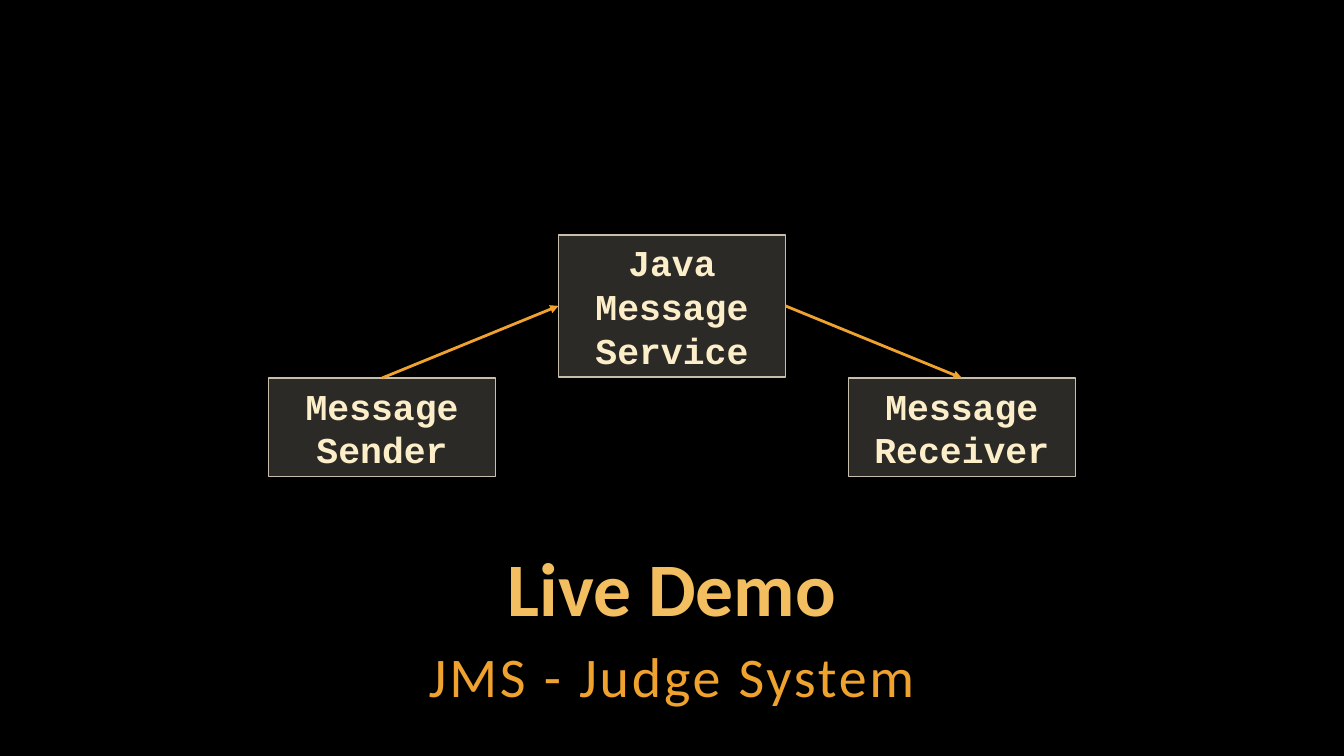
import pptx
import pptx.util
import pptx.dml.color
import pptx.enum.shapes
import pptx.enum.text
import pptx.oxml
from lxml import etree
from pptx.oxml.ns import qn

SLIDE_W, SLIDE_H = 13.33, 7.5
BOX_W, COLUMN_STEP = 2.25, 2.875
SERVICE_TOP, SERVICE_H = 2.33, 1.41
CLIENT_TOP, CLIENT_H = 3.75, 0.98
TOP, LEFT, RIGHT = 0, 1, 3
ORANGE = "F0A22E"


def inches(*values):
    return [pptx.util.Inches(v) for v in values]


def rgb(value):
    return pptx.dml.color.RGBColor.from_string(value)


def write(sp, text, *, font, size, color, bold=False, spacing=None,
          line_spacing=None, space_after=None):
    """Put one centred paragraph into a shape."""
    tf = sp.text_frame
    tf.word_wrap = True
    p = tf.paragraphs[0]
    p.alignment = pptx.enum.text.PP_ALIGN.CENTER
    p.line_spacing = line_spacing
    if space_after is not None:
        p.space_after = pptx.util.Pt(space_after)
    r = p.add_run()
    r.text = text
    r.font.name = font
    r.font.size = pptx.util.Pt(size)
    r.font.bold = bold
    r.font.color.rgb = rgb(color)
    if spacing is not None:
        r.font._element.set("spc", str(spacing * 100))


def add_heading(s, text, top, height, anchor, **text_format):
    sp = s.shapes.add_textbox(*inches(1, top, SLIDE_W - 2, height))
    tf = sp.text_frame
    tf.vertical_anchor = anchor
    tf.margin_left = tf.margin_right = pptx.util.Inches(0.04)
    tf.margin_top = tf.margin_bottom = pptx.util.Inches(0.04)
    write(sp, text, font="Calibri", **text_format)


def add_box(s, text, column, top, height):
    """Add a translucent box; column 0 is the middle of the slide."""
    left = (SLIDE_W - BOX_W) / 2 + column * COLUMN_STEP
    sp = s.shapes.add_shape(pptx.enum.shapes.MSO_SHAPE.RECTANGLE,
                            *inches(left, top, BOX_W, height))
    sp.shadow.inherit = False
    sp.fill.solid()
    sp.fill.fore_color.rgb = rgb("D9D5C7")
    fill_color = sp._element.spPr.find(qn("a:solidFill"))[0]
    etree.SubElement(fill_color, qn("a:alpha"), val="20000")
    sp.line.color.rgb = rgb("C7BFAC")
    sp.line.width = pptx.util.Pt(1)
    write(sp, text, font="Courier New", size=26, color="FBEEC9", bold=True)
    return sp


def add_arrow(s, start, start_side, end, end_side):
    line = s.shapes.add_connector(pptx.enum.shapes.MSO_CONNECTOR.STRAIGHT,
                                  0, 0, 0, 0)
    line.begin_connect(start, start_side)
    line.end_connect(end, end_side)
    line.line.color.rgb = rgb(ORANGE)
    line.line.width = pptx.util.Pt(2)
    etree.SubElement(line.line._get_or_add_ln(), qn("a:tailEnd"),
                     type="triangle")
    etree.SubElement(line._element.spPr, qn("a:effectLst"))


def main():
    prs = pptx.Presentation()
    prs.slide_width, prs.slide_height = inches(SLIDE_W, SLIDE_H)
    s = prs.slides.add_slide(prs.slide_layouts[6])
    s.background.fill.solid()
    s.background.fill.fore_color.rgb = rgb("000000")

    sender = add_box(s, "Message Sender", -1, CLIENT_TOP, CLIENT_H)
    service = add_box(s, "Java Message Service", 0, SERVICE_TOP, SERVICE_H)
    receiver = add_box(s, "Message Receiver", 1, CLIENT_TOP, CLIENT_H)
    add_arrow(s, sender, TOP, service, LEFT)
    add_arrow(s, service, RIGHT, receiver, TOP)

    anchors = pptx.enum.text.MSO_ANCHOR
    add_heading(s, "Live Demo", 5.42, 0.9, anchors.BOTTOM, size=54,
                color="F3BE60", bold=True, line_spacing=0.9)
    add_heading(s, "JMS - Judge System", 6.29, 0.79, anchors.TOP, size=40,
                color=ORANGE, spacing=2, line_spacing=1.05, space_after=6)
    prs.save("out.pptx")


if __name__ == "__main__":
    main()
